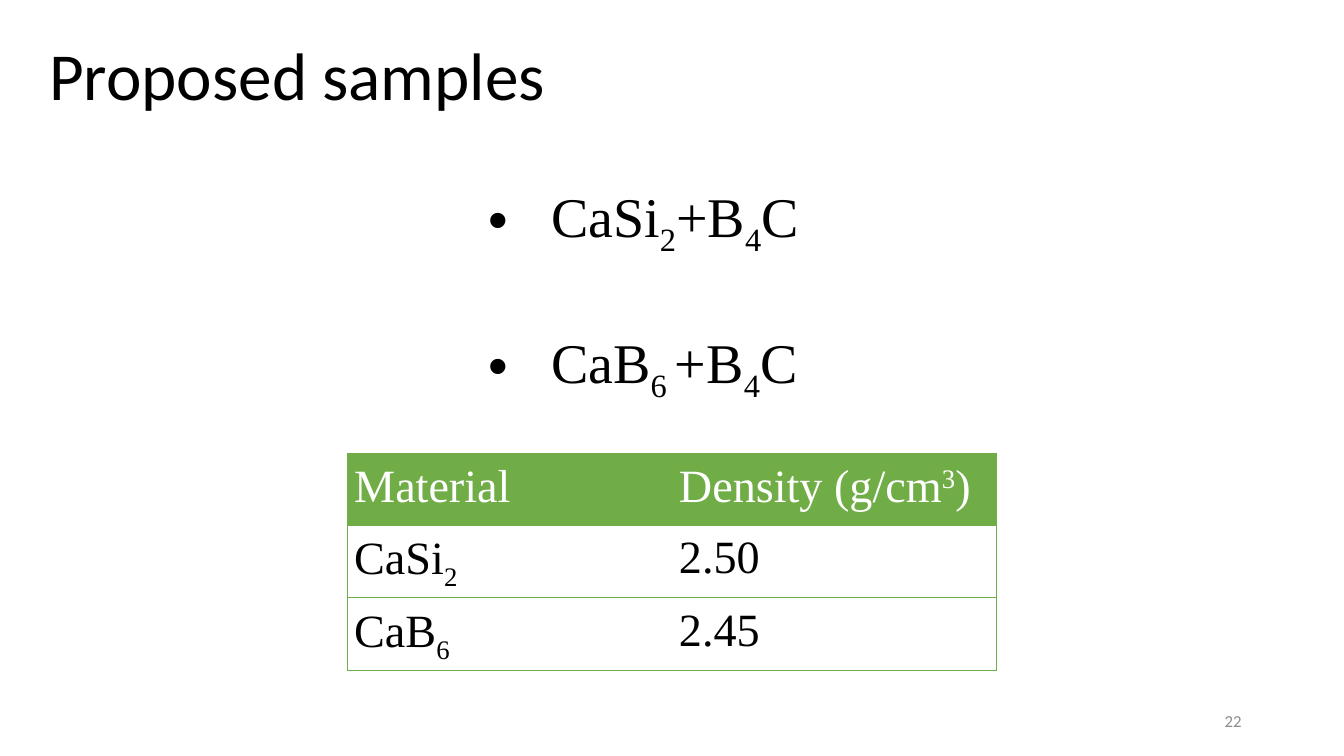
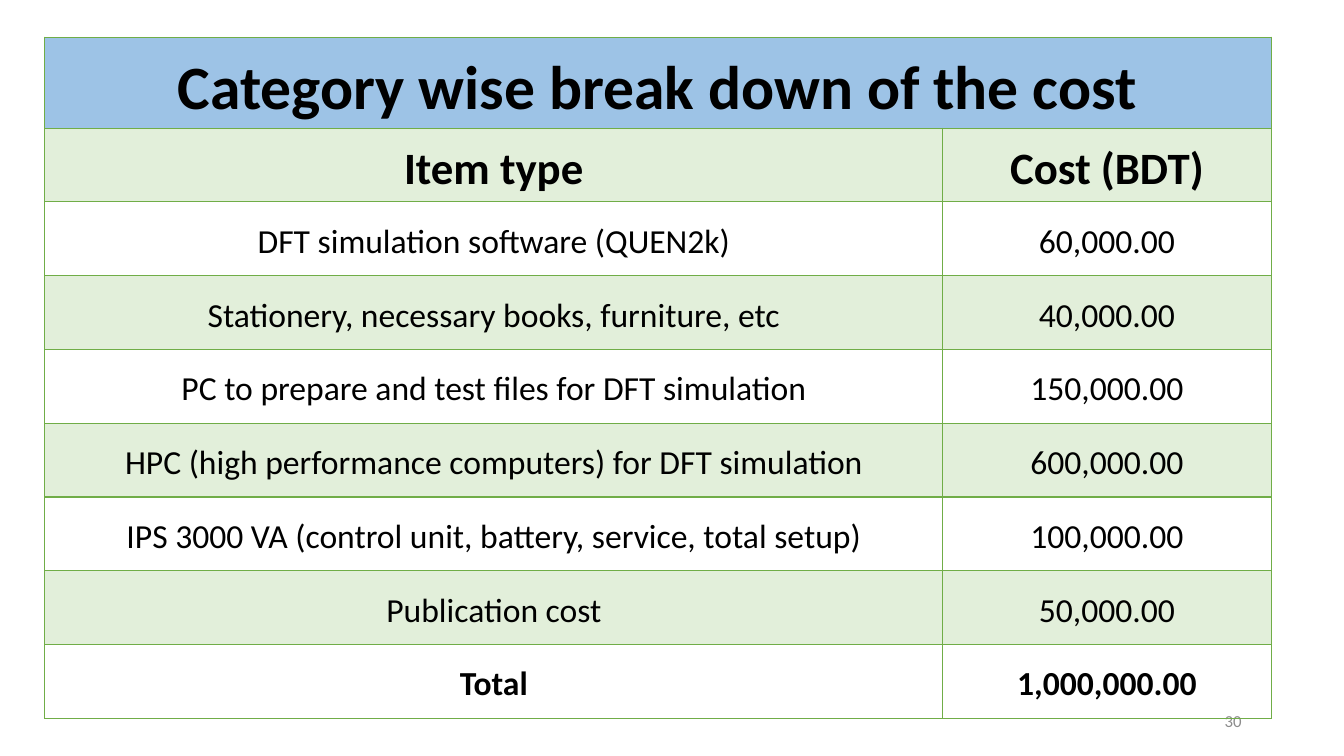
from lxml import etree
from pptx import Presentation
from pptx.dml.color import RGBColor
from pptx.enum.text import MSO_ANCHOR, MSO_AUTO_SIZE, PP_ALIGN
from pptx.oxml.ns import qn
from pptx.util import Pt

COLORS = {
    "text": "000000",
    "white": "FFFFFF",
    "number": "8C8C8C",
    "green": "70AD47",
    "band": "E2EFDA",
    "blue": "9DC3E6",
}
SANS, SERIF = "Calibri", "Times New Roman"
BASELINES = {"_": "-25000", "^": "30000"}
TITLE_AND_CONTENT, BLANK = 1, 6


def write(paragraph, text, size=24, font=SANS, color="text", bold=False,
          align=PP_ALIGN.LEFT, line_spacing=1.0, space_before=0):
    """Fill a paragraph; parts are split by |, _ lowers a part and ^ raises it."""
    paragraph.alignment = align
    paragraph.line_spacing = line_spacing
    paragraph.space_before = Pt(space_before)
    for part in text.split("|"):
        run = paragraph.add_run()
        run.text = part.lstrip("_^")
        run.font.size = Pt(size)
        run.font.name = font
        run.font.bold = bold
        run.font.color.rgb = RGBColor.from_string(COLORS[color])
        if part[0] in BASELINES:
            run._r.get_or_add_rPr().set("baseline", BASELINES[part[0]])


def set_bullet(paragraph, indent):
    properties = paragraph._p.get_or_add_pPr()
    properties.set("marL", str(Pt(indent)))
    properties.set("indent", str(-Pt(indent)))
    etree.SubElement(properties, qn("a:buFont")).set("typeface", "Arial")
    etree.SubElement(properties, qn("a:buChar")).set("char", "•")


def set_borders(cell, widths):
    """Draw the sides named in widths (L, R, T, B) and clear the others."""
    properties = cell._tc.get_or_add_tcPr()
    for position, side in enumerate("LRTB"):
        border = etree.Element(qn(f"a:ln{side}"))
        if side in widths:
            border.set("w", str(Pt(widths[side])))
            fill = etree.SubElement(border, qn("a:solidFill"))
            etree.SubElement(fill, qn("a:srgbClr")).set("val", COLORS["green"])
        else:
            etree.SubElement(border, qn("a:noFill"))
        properties.insert(position, border)


class Deck:
    def __init__(self):
        self.presentation = Presentation()
        self.presentation.slide_width = Pt(960)
        self.presentation.slide_height = Pt(540)
        self.slide = None

    def add_slide(self, layout, number):
        self.slide = self.presentation.slides.add_slide(
            self.presentation.slide_layouts[layout])
        page = self.slide.shapes.add_textbox(Pt(678), Pt(500.5), Pt(216), Pt(28.75))
        page.text_frame.word_wrap = True
        page.text_frame.vertical_anchor = MSO_ANCHOR.MIDDLE
        write(page.text_frame.paragraphs[0], str(number), size=12,
              color="number", align=PP_ALIGN.RIGHT)

    def place(self, index, left, top, width, height):
        """Move a placeholder and return its top-anchored text frame."""
        holder = self.slide.placeholders[index]
        holder.left, holder.top = Pt(left), Pt(top)
        holder.width, holder.height = Pt(width), Pt(height)
        frame = holder.text_frame
        frame.auto_size = MSO_AUTO_SIZE.NONE
        frame.vertical_anchor = MSO_ANCHOR.TOP
        return frame

    def title(self, text):
        frame = self.place(0, 28, 20, 878, 65.5)
        write(frame.paragraphs[0], text, size=48)

    def bullets(self, items, left, top, width, height, gap):
        frame = self.place(1, left, top, width, height)
        for row, item in enumerate(items):
            paragraph = frame.add_paragraph() if row else frame.paragraphs[0]
            write(paragraph, item, size=40, font=SERIF,
                  space_before=gap if row else 0)
            set_bullet(paragraph, 45)

    def table(self, left, top, columns, heights):
        grid = self.slide.shapes.add_table(
            len(heights), len(columns), Pt(left), Pt(top),
            Pt(sum(columns)), Pt(sum(heights))).table
        grid.first_row = grid.horz_banding = False
        for column, width in zip(grid.columns, columns):
            column.width = Pt(width)
        for row, height in zip(grid.rows, heights):
            row.height = Pt(height)
        return grid

    def cell(self, cell, text, borders, fill=None, anchor=MSO_ANCHOR.TOP, **text_format):
        cell.margin_left = cell.margin_right = Pt(5)
        cell.margin_top = cell.margin_bottom = 0
        cell.vertical_anchor = anchor
        if fill:
            cell.fill.solid()
            cell.fill.fore_color.rgb = RGBColor.from_string(COLORS[fill])
        else:
            cell.fill.background()
        set_borders(cell, borders)
        if text:
            write(cell.text_frame.paragraphs[0], text, line_spacing=1.15, **text_format)


def samples_slide(deck):
    deck.add_slide(TITLE_AND_CONTENT, 22)
    deck.title("Proposed samples")
    deck.bullets(["CaSi|_2|+B|_4|C", "CaB|_6 |+B|_4|C"], 341.5, 126, 252, 152.5, gap=50)

    densities = [
        ("Material", "Density (g/cm|^3|)"),
        ("CaSi|_2", "2.50"),
        ("CaB|_6", "2.45"),
    ]
    grid = deck.table(248, 324, [232, 232], [51] * len(densities))
    for row, values in enumerate(densities):
        for column, value in enumerate(values):
            outer = "R" if column else "L"
            deck.cell(grid.cell(row, column), value,
                      dict.fromkeys(outer + "TB", 0.5),
                      fill=None if row else "green",
                      color="text" if row else "white",
                      size=33, font=SERIF, align=PP_ALIGN.JUSTIFY)


def cost_slide(deck):
    deck.add_slide(BLANK, 30)
    costs = [
        ("Category wise break down of the cost", ""),
        ("Item type", "Cost (BDT)"),
        ("DFT simulation software (QUEN2k)", "60,000.00"),
        ("Stationery, necessary books, furniture, etc", "40,000.00"),
        ("PC to prepare and test files for DFT simulation", "150,000.00"),
        ("HPC (high performance computers) for DFT simulation", "600,000.00"),
        ("IPS 3000 VA (control unit, battery, service, total setup)", "100,000.00"),
        ("Publication cost", "50,000.00"),
        ("Total", "1,000,000.00"),
    ]
    last = len(costs) - 1
    heading_sizes = {0: 44, 1: 32}
    grid = deck.table(32, 26.5, [641.5, 234.5], [65] + [52.7] * last)
    grid.cell(0, 0).merge(grid.cell(0, 1))
    for row, values in enumerate(costs):
        fill = "blue" if row == 0 else "band" if row % 2 else None
        for column, value in enumerate(values):
            deck.cell(grid.cell(row, column), value,
                      dict.fromkeys("LRTB", 1), fill=fill,
                      anchor=MSO_ANCHOR.MIDDLE, align=PP_ALIGN.CENTER,
                      size=heading_sizes.get(row, 24),
                      bold=row in (0, 1, last))


def main():
    deck = Deck()
    samples_slide(deck)
    cost_slide(deck)
    deck.presentation.save("out.pptx")


if __name__ == "__main__":
    main()
